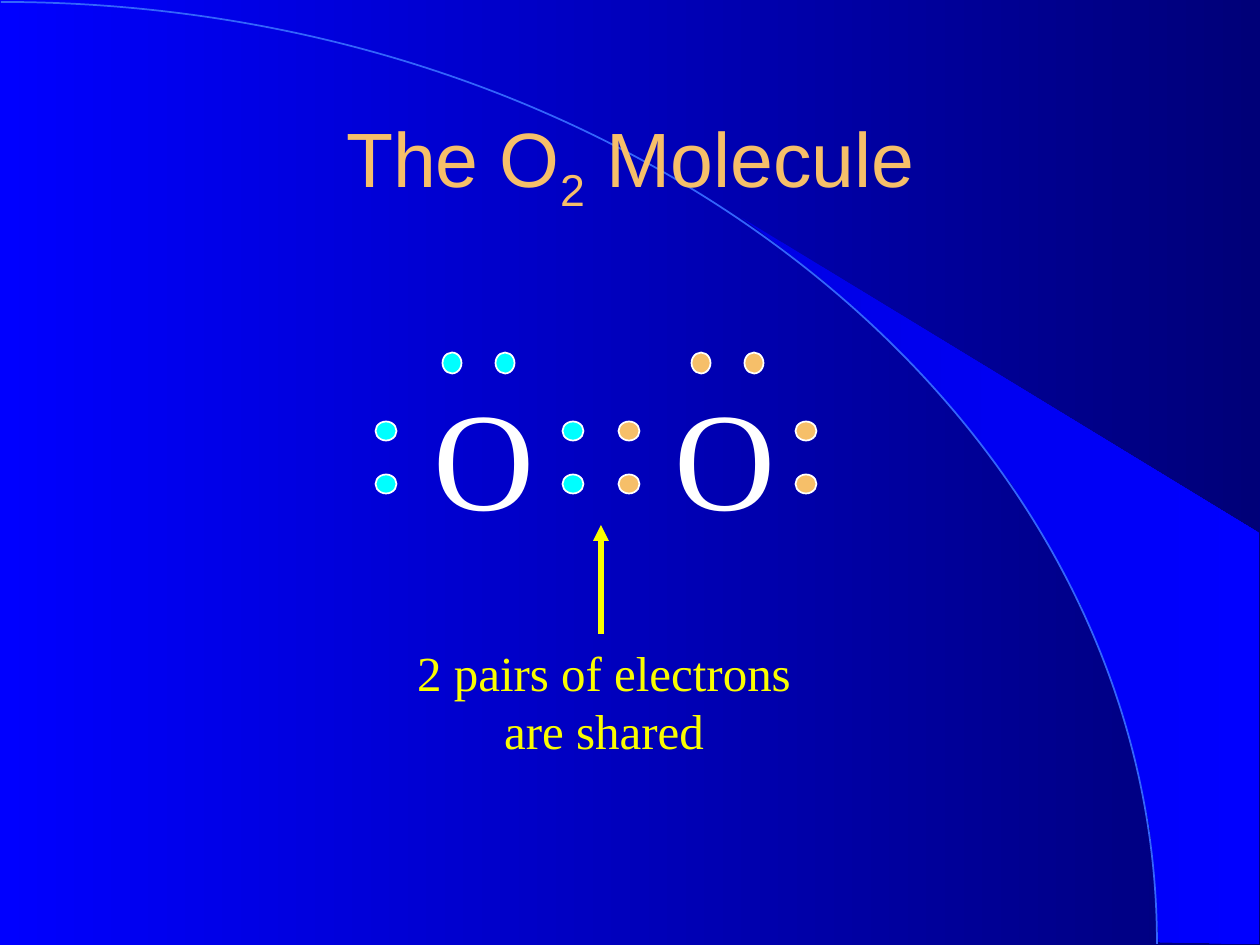
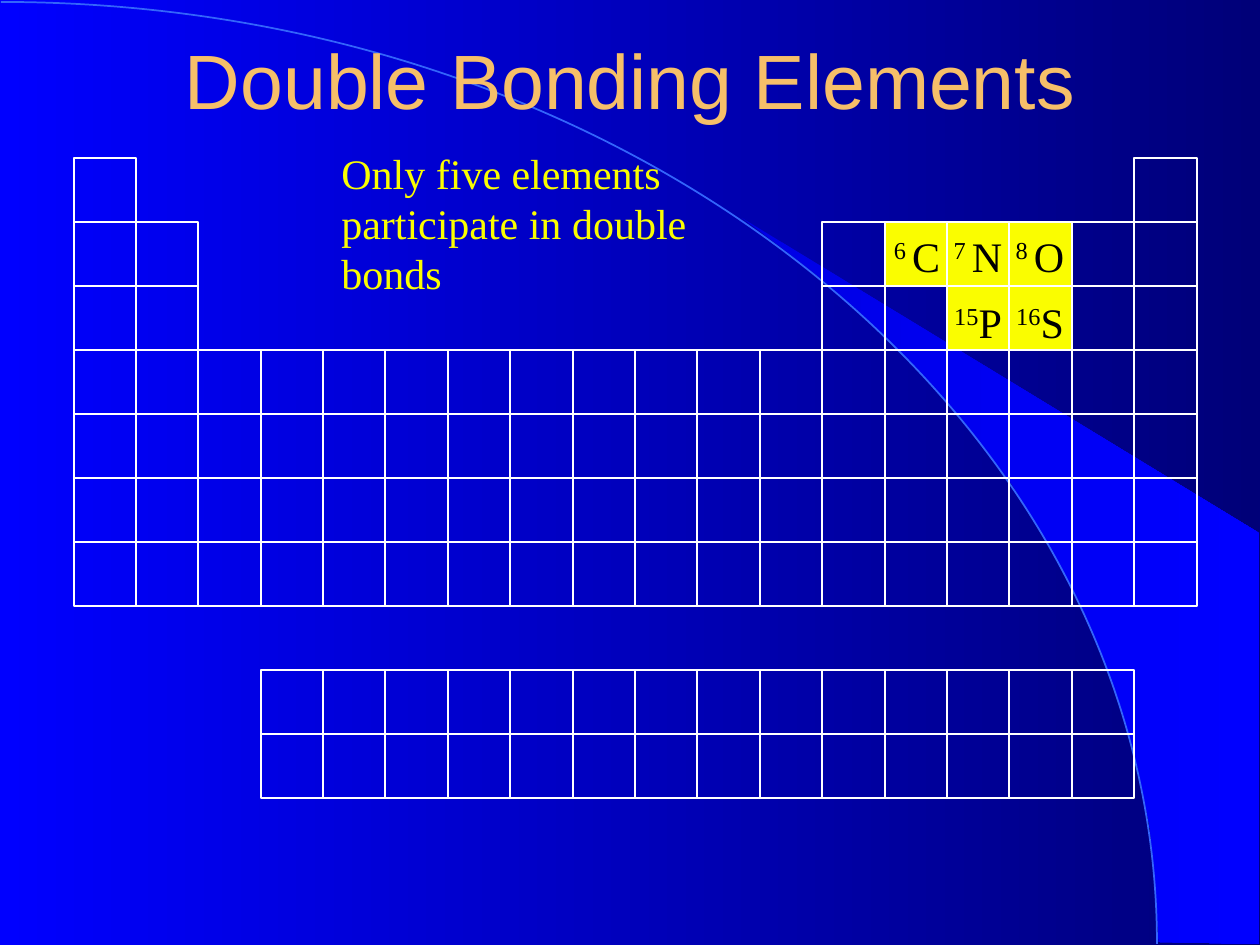
from lxml.etree import SubElement
from pptx import Presentation
from pptx.dml.color import RGBColor
from pptx.enum.shapes import MSO_CONNECTOR as CONNECTOR, MSO_SHAPE as SHAPE
from pptx.enum.text import MSO_ANCHOR as ANCHOR, MSO_AUTO_SIZE as AUTO, PP_ALIGN as ALIGN
from pptx.oxml.ns import qn
from pptx.util import Emu, Pt

EMU_PER_PX = 914400 / 126
WIDTH, HEIGHT = 1260, 945
WHITE, BLACK, YELLOW = "FFFFFF", "000000", "FAFD00"
GOLD, CYAN, ARC_BLUE = "F6BF69", "00FFFF", "3365FB"
SERIF, SANS = "Times New Roman", "Arial"

ARC_START, ARC_END = (1, 2), (1157, 944)
ARC_CONTROLS = [(640, 2), (1157, 425)]
WEDGE = [
    (1159, 942), (1259, 944), (1259, 533), (742, 218), (786, 251), (823, 280),
    (863, 315), (902, 353), (960, 416), (1012, 484), (1048, 543), (1081, 604),
    (1106, 665), (1125, 721), (1138, 767), (1150, 827), (1155, 877),
]

GRID_LEFT, GRID_TOP, GRID_WIDTH = 74, 158, 1123
GROUPS, ROW_HEIGHT = 18, 64
MAIN_BLOCKS = [*range(0, 2), *range(12, 18)]
ELEMENT_ROWS = {
    0: [0, 17],
    1: MAIN_BLOCKS,
    2: MAIN_BLOCKS,
    **{row: range(GROUPS) for row in range(3, 7)},
    8: range(3, 17),
    9: range(3, 17),
}
DOUBLE_BONDERS = {
    (1, 13): ("6 ", "C"),
    (1, 14): ("7 ", "N"),
    (1, 15): ("8 ", "O"),
    (2, 14): ("15", "P"),
    (2, 15): ("16", "S"),
}
SYMBOL_LEFTS = {13: 871, 14: 932, 15: 994}
SYMBOL_TOPS = {1: 224, 2: 290}


def px(length):
    return Emu(round(length * EMU_PER_PX))


def rgb(colour):
    return RGBColor.from_string(colour)


def paint_gradient(fill, start, end):
    fill.gradient()
    fill.gradient_angle = 0
    for stop, colour in zip(fill.gradient_stops, (start, end)):
        stop.color.rgb = rgb(colour)


def paint(shape, fill, line):
    shape.shadow.inherit = False
    if fill:
        shape.fill.solid()
        shape.fill.fore_color.rgb = rgb(fill)
    else:
        shape.fill.background()
    if line:
        shape.line.color.rgb = rgb(line)
        shape.line.width = Pt(1)
    else:
        shape.line.fill.background()


def add_outline(slide, points, close):
    builder = slide.shapes.build_freeform(*points[0], scale=EMU_PER_PX)
    builder.add_line_segments(points[1:], close=close)
    return builder.convert_to_shape()


def add_curve(slide, start, controls, end):
    curve = add_outline(slide, [start, end], False)
    segment = curve.element.xpath(".//a:lnTo")[0]
    bend = SubElement(segment.getparent(), qn("a:cubicBezTo"))
    segment.getparent().remove(segment)
    for x, y in (*controls, end):
        SubElement(bend, qn("a:pt"), x=str(x - start[0]), y=str(y - start[1]))
    return curve


def decorate_master(deck, slide):
    master = deck.slide_master
    paint_gradient(master.background.fill, "0000FF", "000078")

    wedge = add_outline(slide, WEDGE, True)
    paint(wedge, None, None)
    paint_gradient(wedge.fill, "0000E5", "0000FF")
    arc = add_curve(slide, ARC_START, ARC_CONTROLS, ARC_END)
    paint(arc, None, ARC_BLUE)

    for number, decor in enumerate((wedge, arc), start=101):
        decor.element.xpath(".//p:cNvPr")[0].set("id", str(number))
        master.shapes.element.append(decor.element)


def add_runs(paragraph, runs, font, size, colour):
    for text, baseline in runs:
        run = paragraph.add_run()
        run.text = text
        run.font.name = font
        run.font.size = Pt(size)
        run.font.color.rgb = rgb(colour)
        if baseline:
            run.font._element.set("baseline", str(baseline * 1000))


def set_title(slide, top, runs):
    title = slide.shapes.title
    title.left, title.top, title.width, title.height = map(px, (95, top, 1071, 158))
    frame = title.text_frame
    frame.auto_size = AUTO.NONE
    frame.vertical_anchor = ANCHOR.MIDDLE
    frame.paragraphs[0].alignment = ALIGN.CENTER
    add_runs(frame.paragraphs[0], runs, SANS, 44, GOLD)


def add_text(slide, box, runs, size, colour, align=ALIGN.CENTER):
    frame = slide.shapes.add_textbox(*map(px, box)).text_frame
    frame.word_wrap = True
    frame.paragraphs[0].alignment = align
    add_runs(frame.paragraphs[0], runs, SERIF, size, colour)
    return frame


def add_atom_symbols(slide):
    frame = add_text(slide, (334, 364, 543, 180), [], 80, WHITE, ALIGN.LEFT)
    frame.margin_left = px(100)
    pair = frame.paragraphs[0]
    tabs = SubElement(pair._p.get_or_add_pPr(), qn("a:tabLst"))
    SubElement(tabs, qn("a:tab"), pos=str(px(241)), algn="l")
    add_runs(pair, [("O\tO", 0)], SERIF, 80, WHITE)


def add_electron(slide, x, y, width, height, colour):
    box = (x - width / 2, y - height / 2, width, height)
    paint(slide.shapes.add_shape(SHAPE.OVAL, *map(px, box)), colour, WHITE)


def add_electrons(slide, top_pair, side_pairs, colour):
    for x in top_pair:
        add_electron(slide, x, 363, 19, 21, colour)
    for x in side_pairs:
        for y in (431, 484):
            add_electron(slide, x, y, 21, 19, colour)


def add_arrow(slide, start, end, colour):
    arrow = slide.shapes.add_connector(CONNECTOR.STRAIGHT, *map(px, (*start, *end)))
    arrow.line.color.rgb = rgb(colour)
    arrow.line.width = Pt(3)
    SubElement(arrow.line._get_or_add_ln(), qn("a:tailEnd"), type="triangle")
    SubElement(arrow.element.spPr, qn("a:effectLst"))


def column_left(group):
    return GRID_LEFT + GRID_WIDTH * group // GROUPS


def add_periodic_table(slide):
    for row, groups in ELEMENT_ROWS.items():
        for group in groups:
            left, right = column_left(group), column_left(group + 1)
            box = (left, GRID_TOP + row * ROW_HEIGHT, right - left, ROW_HEIGHT)
            cell = slide.shapes.add_shape(SHAPE.RECTANGLE, *map(px, box))
            paint(cell, YELLOW if (row, group) in DOUBLE_BONDERS else None, WHITE)
    for (row, group), (number, symbol) in DOUBLE_BONDERS.items():
        box = (SYMBOL_LEFTS[group], SYMBOL_TOPS[row], 92, 63)
        add_text(slide, box, [(number, 30), (symbol, 0)], 24, BLACK)


def main():
    deck = Presentation()
    deck.slide_width, deck.slide_height = px(WIDTH), px(HEIGHT)
    title_only = deck.slide_layouts[5]

    molecule = deck.slides.add_slide(title_only)
    decorate_master(deck, molecule)
    set_title(molecule, 84, [("The O", 0), ("2", -25), (" Molecule", 0)])
    add_atom_symbols(molecule)
    add_electrons(molecule, (452, 505), (386, 573), CYAN)
    add_electrons(molecule, (701, 754), (629, 806), GOLD)
    add_text(molecule, (394, 636, 420, 130),
             [("2 pairs of electrons are shared", 0)], 28, YELLOW)
    add_arrow(molecule, (601, 634), (601, 525), YELLOW)

    elements = deck.slides.add_slide(title_only)
    set_title(elements, 0, [("Double Bonding Elements", 0)])
    add_periodic_table(elements)
    add_text(elements, (329, 141, 451, 164),
             [("Only five elements participate in double bonds", 0)],
             24, YELLOW, ALIGN.LEFT)

    deck.save("out.pptx")


if __name__ == "__main__":
    main()
